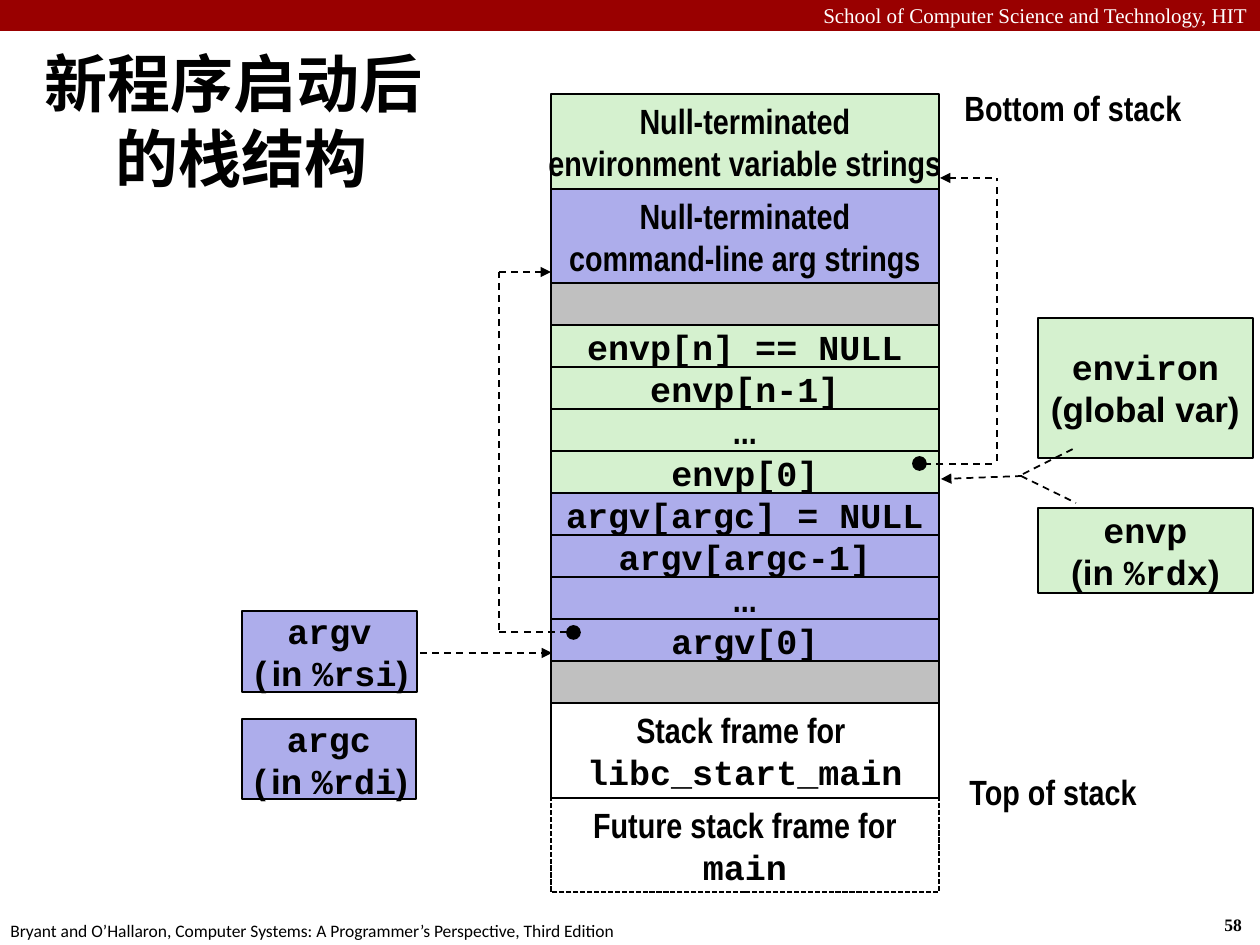
from lxml import etree
from pptx import Presentation
from pptx.dml.color import RGBColor
from pptx.enum.dml import MSO_LINE
from pptx.enum.shapes import MSO_CONNECTOR, MSO_SHAPE
from pptx.enum.text import MSO_ANCHOR, PP_ALIGN
from pptx.oxml.ns import qn
from pptx.util import Pt

PIXEL = 914400 / 126
RECTANGLE, OVAL = MSO_SHAPE.RECTANGLE, MSO_SHAPE.OVAL
STRAIGHT = MSO_CONNECTOR.STRAIGHT
DASH, SQUARE_DASH = MSO_LINE.DASH, MSO_LINE.SQUARE_DOT
TOP, MIDDLE = MSO_ANCHOR.TOP, MSO_ANCHOR.MIDDLE
LEFT, CENTER, RIGHT = PP_ALIGN.LEFT, PP_ALIGN.CENTER, PP_ALIGN.RIGHT

NARROW, MONO, SANS = "Arial Narrow", "Courier New", "Arial"
SERIF, BODY = "Times New Roman", "Calibri"
BLACK, WHITE, RED = "000000", "FFFFFF", "990000"
GREEN, PURPLE, GRAY = "D5F1CF", "ADADEB", "C0C0C0"


def register_label(name, register, bracket_font):
    return [[(name, MONO)],
            [("(", bracket_font), ("in ", SANS), (register, MONO), (")", SANS)]]


STACK_LEFT, STACK_TOP, STACK_WIDTH = 551, 94, 388
STACK = [
    (95, GREEN, [[("Null-terminated", NARROW)], [("environment variable strings", NARROW)]]),
    (94, PURPLE, [[("Null-terminated", NARROW)], [("command-line arg strings", NARROW)]]),
    (42, GRAY, []),
    (42, GREEN, [[("envp[n] == NULL", MONO)]]),
    (42, GREEN, [[("envp[n-1]", MONO)]]),
    (42, GREEN, [[("...", NARROW)]]),
    (42, GREEN, [[("envp[0]", MONO)]]),
    (42, PURPLE, [[("argv[argc] = NULL", MONO)]]),
    (42, PURPLE, [[("argv[argc-1]", MONO)]]),
    (42, PURPLE, [[("...", NARROW)]]),
    (42, PURPLE, [[("argv[0]", MONO)]]),
    (42, GRAY, []),
    (95, None, [[("Stack frame for ", NARROW)], [("libc_start_main", MONO)]]),
    (94, None, [[("Future stack frame for", NARROW)], [("main", MONO)]]),
]

VARIABLES = [
    ((1038, 318, 215, 140), GREEN, [[("environ", MONO)], [("(global var)", SANS)]]),
    ((1038, 508, 215, 85), GREEN, register_label("envp", "%rdx", SANS)),
    ((242, 611, 175, 81), PURPLE, register_label("argv", "%rsi", MONO)),
    ((242, 719, 174, 80), PURPLE, register_label("argc", "%rdi", MONO)),
]

LINES = [
    ((420, 653), (552, 653), True),
    ((567, 632), (499, 632), False),
    ((499, 630), (499, 272), False),
    ((499, 272), (551, 272), True),
    ((992, 464), (924, 464), False),
    ((997, 461), (997, 178), False),
    ((992, 178), (940, 178), True),
    ((1021, 476), (1076, 503), False),
    ((1022, 476), (941, 479), True),
    ((1023, 474), (1077, 447), False),
]

DOTS = [(567, 626), (913, 457)]
DOT_SIZE = 13

LABELS = [
    ((0, -4, 1260, 38), "School of Computer Science and Technology, HIT",
     SERIF, 12, WHITE, False, RIGHT, TOP),
    ((1212, 908, 47, 34), "58", SERIF, 10, BLACK, True, LEFT, TOP),
    ((-2, 914, 640, 34),
     "Bryant and O’Hallaron, Computer Systems: A Programmer’s Perspective, Third Edition",
     BODY, 10, BLACK, False, LEFT, TOP),
    ((951, 80, 244, 55), "Bottom of stack", NARROW, 20, BLACK, True, CENTER, MIDDLE),
    ((955, 764, 196, 55), "Top of stack", NARROW, 20, BLACK, True, CENTER, MIDDLE),
]
TITLE = ((9, 40, 450, 160), "新程序启动后的栈结构", BODY, 36, BLACK, True, CENTER, MIDDLE)
TITLE_INDENT = 16


def emu(*lengths):
    return [round(length * PIXEL) for length in lengths]


def color(value):
    return RGBColor.from_string(value)


def write(shape, paragraphs, size, text_color, bold, align, anchor, wrap):
    frame = shape.text_frame
    frame.word_wrap = wrap
    frame.vertical_anchor = anchor
    for index, runs in enumerate(paragraphs):
        paragraph = frame.add_paragraph() if index else frame.paragraphs[0]
        paragraph.alignment = align
        for text, font_name in runs:
            run = paragraph.add_run()
            run.text = text
            run.font.name = font_name
            run.font.size = Pt(size)
            run.font.bold = bold
            run.font.color.rgb = color(text_color)


def add_figure(slide, kind, box, fill, line=BLACK):
    shape = slide.shapes.add_shape(kind, *emu(*box))
    shape.shadow.inherit = False
    if fill:
        shape.fill.solid()
        shape.fill.fore_color.rgb = color(fill)
    else:
        shape.fill.background()
    if line:
        shape.line.color.rgb = color(line)
        shape.line.width = Pt(1)
    else:
        shape.line.fill.background()
    return shape


def add_box(slide, box, fill, paragraphs):
    shape = add_figure(slide, RECTANGLE, box, fill)
    write(shape, paragraphs, 20, BLACK, True, CENTER, MIDDLE, False)
    return shape


def add_label(slide, box, text, font_name, size, text_color, bold, align, anchor, wrap=False):
    label = slide.shapes.add_textbox(*emu(*box))
    write(label, [[(text, font_name)]], size, text_color, bold, align, anchor, wrap)
    return label


def add_line(slide, start, end, arrow):
    connector = slide.shapes.add_connector(STRAIGHT, *emu(*start, *end))
    connector.line.color.rgb = color(BLACK)
    connector.line.width = Pt(1)
    connector.line.dash_style = DASH
    if arrow:
        line = connector.line._get_or_add_ln()
        etree.SubElement(line, qn("a:tailEnd"), type="triangle")
    etree.SubElement(connector._element.spPr, qn("a:effectLst"))


def add_stack(slide):
    top = STACK_TOP
    for height, fill, paragraphs in STACK:
        frame_box = add_box(slide, (STACK_LEFT, top, STACK_WIDTH, height), fill, paragraphs)
        top += height
    frame_box.line.dash_style = SQUARE_DASH


def main():
    presentation = Presentation()
    presentation.slide_width, presentation.slide_height = emu(1260, 945)
    slide = presentation.slides.add_slide(presentation.slide_layouts[6])

    add_figure(slide, RECTANGLE, (0, 0, 1260, 31), RED, None)
    title = add_label(slide, *TITLE, wrap=True)
    properties = title.text_frame.paragraphs[0]._p.get_or_add_pPr()
    indent, = emu(TITLE_INDENT)
    properties.set("marL", str(indent))
    properties.set("indent", str(-indent))

    add_stack(slide)
    for variable in VARIABLES:
        add_box(slide, *variable)
    for line in LINES:
        add_line(slide, *line)
    for left, top in DOTS:
        add_figure(slide, OVAL, (left, top, DOT_SIZE, DOT_SIZE), BLACK)
    for label in LABELS:
        add_label(slide, *label)

    presentation.save("out.pptx")


if __name__ == "__main__":
    main()
